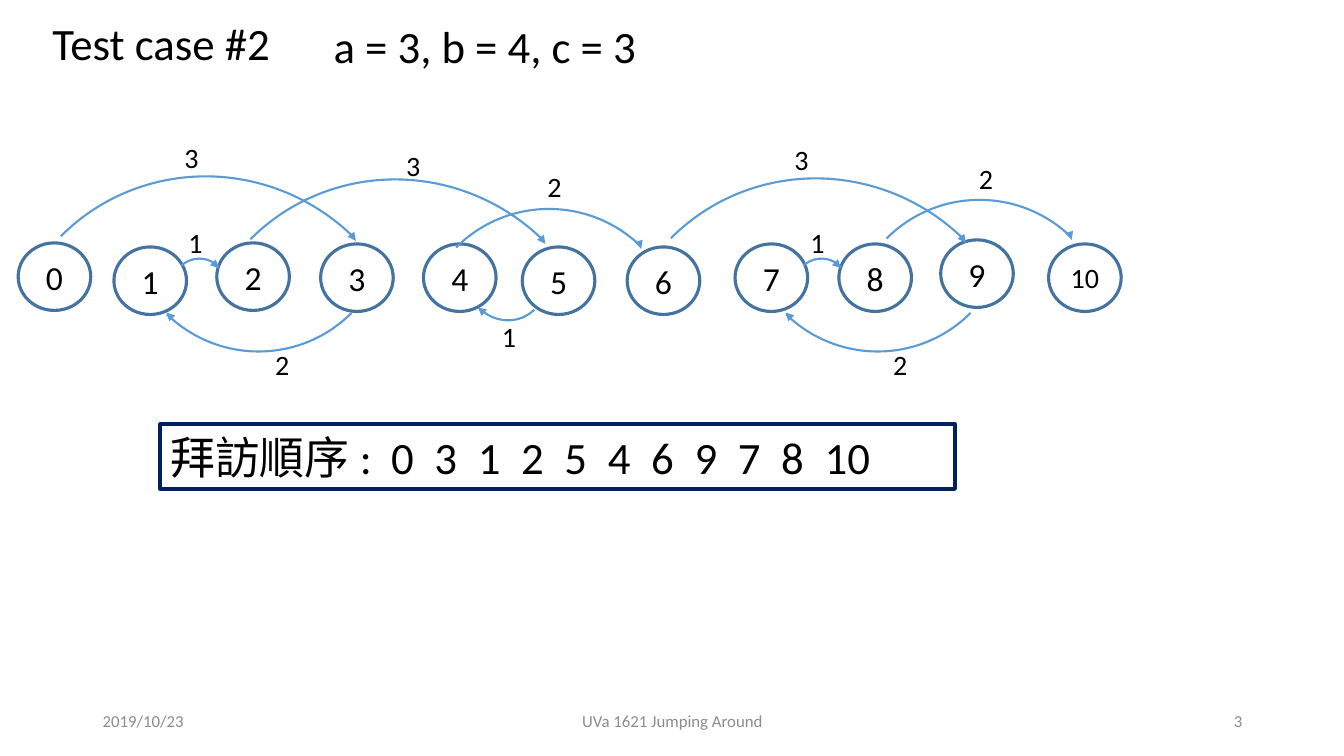
"""Build the slide that traces the jumps of test case 2."""
import pptx
import pptx.dml.color
import pptx.enum.shapes
import pptx.enum.text
import pptx.oxml
import pptx.oxml.ns
import pptx.util

RGB = pptx.dml.color.RGBColor
SHAPE = pptx.enum.shapes.MSO_SHAPE
ALIGN = pptx.enum.text.PP_ALIGN
ANCHOR = pptx.enum.text.MSO_ANCHOR
NS = pptx.oxml.ns.nsdecls("a")

BLACK = RGB(0x00, 0x00, 0x00)
GREY = RGB(0x8C, 0x8C, 0x8C)
NAVY = RGB(0x00, 0x20, 0x60)
STEEL = RGB(0x43, 0x73, 0x9E)
BLUE = RGB(0x5B, 0x9B, 0xD5)
PX = 9144

TITLE = ("Test case #2", (42, 11, 240, 64))
GIVEN = ("a = 3, b = 4, c = 3", (321, 14, 466, 64))
FOOT = [
    ("2019/10/23", (92, 695, 300, 40), ALIGN.LEFT),
    ("UVa 1621 Jumping Around", (442, 695, 450, 40), ALIGN.CENTER),
    ("3", (942, 695, 300, 40), ALIGN.RIGHT),
]
NODES = [(18, 241), (113, 245), (215, 241), (318, 242), (420, 242), (518, 245),
         (622, 245), (729, 242), (832, 242), (933, 238), (1040, 242)]
NODE = (72, 67)
ORDER = [0, 3, 1, 2, 5, 4, 6, 9, 7, 8, 10]
LEAD = "拜訪順序"
BOX = (159, 421, 788, 64)
TAB, STEP = 219, 43

KINDS = {
    "far": ((408, 416), 314.8, 215.593, (346, 62, 349, 66)),
    "mid": ((260, 261), 314.8, 215.593, (220, 37, 221, 40)),
    "near": ((54, 52), 318.5, 215.593, (46, 8, 47, 9)),
    "back": ((260, 261), 134.8, 215.593, (41, 224, 39, 222)),
    "short": ((75, 80), 134.8, 210.436, (16, 71, 10, 66)),
}
JUMPS = [
    ("far", (4, 173), "3", (173, 134)),
    ("far", (192, 176), "3", (393, 142)),
    ("mid", (842, 198), "2", (961, 155)),
    ("near", (170, 257), "1", (177, 219)),
    ("mid", (415, 207), "2", (533, 163)),
    ("back", (126, 88), "2", (263, 340)),
    ("short", (464, 239), "1", (488, 312)),
    ("far", (609, 175), "3", (778, 136)),
    ("near", (787, 257), "1", (794, 219)),
    ("back", (740, 88), "2", (876, 340)),
]
LABEL = (56, 44)


def emu(*vals):
    return [val * PX for val in vals]


def apply(item, form):
    for name, val in form.items():
        setattr(item, name, val)


def style(font, size, color=BLACK):
    apply(font, {"name": "Calibri", "size": pptx.util.Pt(size)})
    font.color.rgb = color


def write(shape, text, size, color=BLACK, align=ALIGN.LEFT, anchor=ANCHOR.TOP):
    frame = shape.text_frame
    apply(frame, {"word_wrap": True, "vertical_anchor": anchor,
                  "auto_size": pptx.enum.text.MSO_AUTO_SIZE.NONE})
    para = frame.paragraphs[0]
    para.alignment = align
    run = para.add_run()
    run.text = text
    style(run.font, size, color)
    return para


def label(slide, text, box, size, **form):
    write(slide.shapes.add_textbox(*emu(*box)), text, size, **form)


def outline(slide, kind, box, color, width):
    shape = slide.shapes.add_shape(kind, *emu(*box))
    shape.shadow.inherit = False
    shape.fill.background()
    shape.line.color.rgb = color
    shape.line.width = pptx.util.Pt(width)
    return shape


def tip(slide, ends):
    line = slide.shapes.add_connector(
        pptx.enum.shapes.MSO_CONNECTOR.STRAIGHT, *emu(*ends))
    line.line.color.rgb = BLUE
    line.line.width = pptx.util.Pt(0.5)
    line.line._get_or_add_ln().append(
        pptx.oxml.parse_xml(f'<a:tailEnd {NS} type="triangle"/>'))
    line._element.spPr.append(pptx.oxml.parse_xml(f"<a:effectLst {NS}/>"))


def jump(slide, kind, spot, text, place):
    size, turn, stop, head = KINDS[kind]
    arc = outline(slide, SHAPE.ARC, spot + size, BLUE, 1.5)
    arc.adjustments[0] = 162
    arc.adjustments[1] = stop
    arc.rotation = turn
    tip(slide, [off + spot[i % 2] for i, off in enumerate(head)])
    label(slide, text, place + LABEL, 20)


def visits(slide):
    box = outline(slide, SHAPE.RECTANGLE, BOX, NAVY, 3)
    para = write(box, LEAD, 32)
    lead = para.runs[0]
    lead.font.name = "Noto Sans CJK SC"
    lead._r.get_or_add_rPr().append(
        pptx.oxml.parse_xml(f'<a:ea {NS} typeface="Noto Sans CJK SC"/>'))
    stops = "".join(f'<a:tab pos="{(TAB + i * STEP) * PX}" algn="l"/>'
                    for i in range(len(ORDER)))
    para._p.get_or_add_pPr().append(
        pptx.oxml.parse_xml(f"<a:tabLst {NS}>{stops}</a:tabLst>"))
    run = para.add_run()
    run.text = " :" + "".join(f"\t{node}" for node in ORDER)
    style(run.font, 32)


def main():
    deck = pptx.Presentation()
    apply(deck, dict(zip(("slide_width", "slide_height"), emu(1333, 750))))
    slide = deck.slides.add_slide(deck.slide_layouts[5])
    text, box = TITLE
    title = slide.shapes.title
    apply(title, dict(zip(("left", "top", "width", "height"), emu(*box))))
    write(title, text, 32)
    label(slide, *GIVEN, 32)
    visits(slide)
    for text, box, align in FOOT:
        label(slide, text, box, 12, color=GREY, align=align,
              anchor=ANCHOR.MIDDLE)
    for num, spot in enumerate(NODES):
        node = outline(slide, SHAPE.OVAL, spot + NODE, STEEL, 2.25)
        write(node, str(num), 24 if num < 10 else 20,
              align=ALIGN.CENTER, anchor=ANCHOR.MIDDLE)
    for item in JUMPS:
        jump(slide, *item)
    deck.save("out.pptx")


if __name__ == "__main__":
    main()
